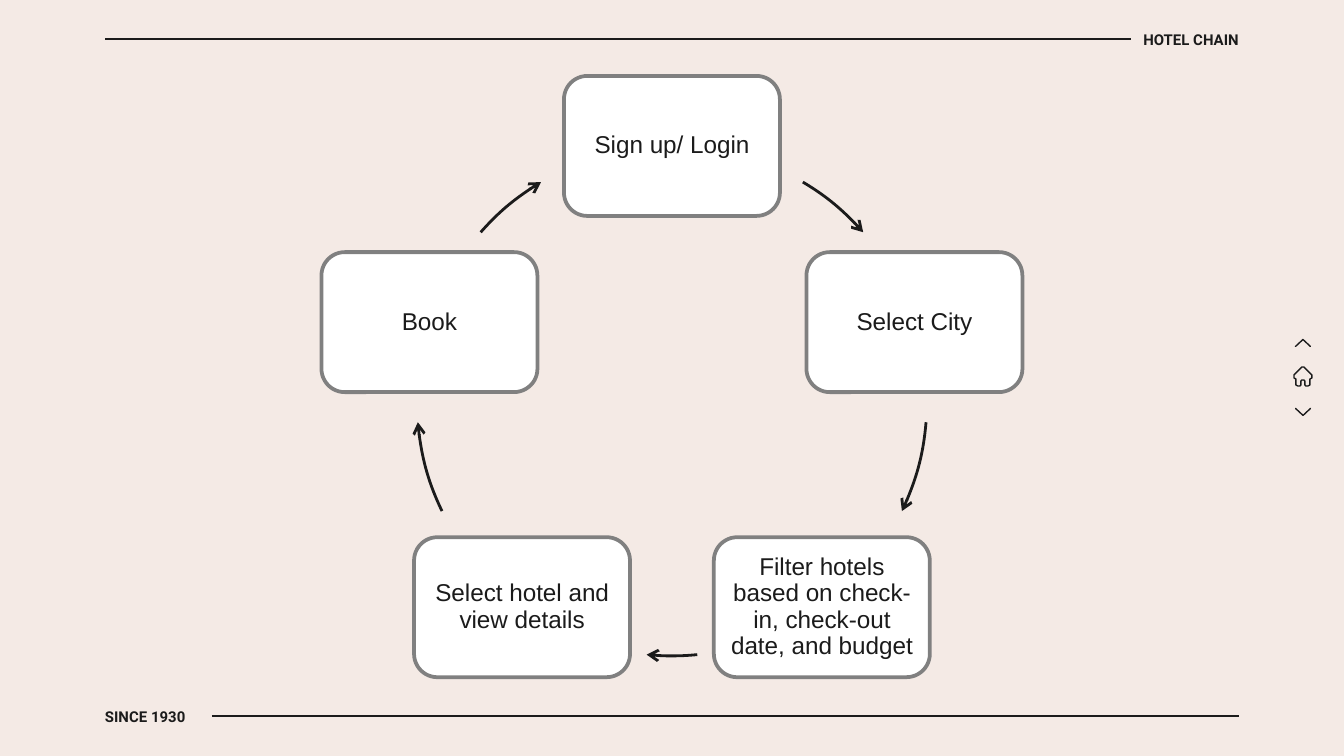
import math
from typing import NamedTuple

from lxml import etree
from pptx import Presentation, util as u
from pptx.dml.color import RGBColor
from pptx.enum import shapes, text
from pptx.oxml import ns

PX = 914400 / 134.4
CREAM = RGBColor(0xF4, 0xEA, 0xE5)
INK = RGBColor(0x1B, 0x1B, 0x1B)
GREY = RGBColor(0x80, 0x80, 0x80)
WHITE = RGBColor(0xFF, 0xFF, 0xFF)

CENTER_X, CENTER_Y, RADIUS = 672, 401, 255
STEP_WIDTH, STEP_HEIGHT = 216, 140
ICON_X = 1303


class Step(NamedTuple):
    """A box on the cycle and the arc that follows it, in clockwise degrees from the top."""
    label: str
    arc_start: float
    arc_end: float


class Chevron(NamedTuple):
    center_y: int
    rotation: int


STEPS = [
    Step("Sign up/ Login", 30.9, 48.6),
    Step("Select City", 94.8, 115.6),
    Step("Filter hotels based on check-in, check-out date, and budget", 174.3, 185.7),
    Step("Select hotel and view details", 244.4, 265.2),
    Step("Book", 311.4, 329.1),
]
CHEVRONS = [Chevron(343, 270), Chevron(412, 90)]
# Right half of the house, from roof to door, as offsets from its axis
HOUSE_HALF = [(1, 367), (9, 375), (9, 378), (7, 379), (7, 385),
              (5, 386), (3, 386), (2, 385), (2, 381), (1, 380)]


def emu(pixels: float) -> u.Emu:
    return u.Emu(round(pixels * PX))


def box(left: float, top: float, width: float, height: float) -> list[u.Emu]:
    return [emu(value) for value in (left, top, width, height)]


def write(shape, content: str, *, size: float, font: str, bold: bool = False,
          align=text.PP_ALIGN.LEFT, inset: int = 0, spacing: float = 1.0) -> None:
    frame = shape.text_frame
    frame.text = content
    frame.word_wrap = True
    frame.auto_size = text.MSO_AUTO_SIZE.NONE
    frame.vertical_anchor = text.MSO_ANCHOR.MIDDLE
    frame.margin_left = frame.margin_right = emu(inset)
    frame.margin_top = frame.margin_bottom = emu(inset)
    paragraph = frame.paragraphs[0]
    paragraph.alignment = align
    paragraph.line_spacing = spacing
    paragraph.space_before = u.Pt(0)
    paragraph.font.size = u.Pt(size)
    paragraph.font.name = font
    paragraph.font.bold = bold
    paragraph.font.color.rgb = INK


def paint(shape, line: RGBColor, width: float, fill: RGBColor | None = None) -> None:
    shape.shadow.inherit = False
    if fill is None:
        shape.fill.background()
    else:
        shape.fill.solid()
        shape.fill.fore_color.rgb = fill
    shape.line.color.rgb = line
    shape.line.width = u.Pt(width)


def add_rule(slide, left: int, right: int, y: int) -> None:
    rule = slide.shapes.add_connector(
        shapes.MSO_CONNECTOR.STRAIGHT, emu(left), emu(y), emu(right), emu(y))
    rule.line.color.rgb = INK
    rule.line.width = u.Pt(0.75)
    etree.SubElement(rule._element.spPr, ns.qn("a:effectLst"))


def add_step(slide, step: Step, angle: float) -> None:
    center_x = CENTER_X + RADIUS * math.sin(math.radians(angle))
    center_y = CENTER_Y - RADIUS * math.cos(math.radians(angle))
    shape = slide.shapes.add_shape(
        shapes.MSO_SHAPE.ROUNDED_RECTANGLE,
        *box(center_x - STEP_WIDTH / 2, center_y - STEP_HEIGHT / 2, STEP_WIDTH, STEP_HEIGHT))
    paint(shape, GREY, 2, WHITE)
    write(shape, step.label, size=13, font="Arial",
          align=text.PP_ALIGN.CENTER, inset=7, spacing=0.9)


def add_arc(slide, step: Step) -> None:
    arc = slide.shapes.add_shape(
        shapes.MSO_SHAPE.ARC,
        *box(CENTER_X - RADIUS, CENTER_Y - RADIUS, 2 * RADIUS, 2 * RADIUS))
    # Arc angles run from the right, in 60000ths of a degree; adjustments scale by 100000
    for index, angle in enumerate((step.arc_start, step.arc_end)):
        arc.adjustments[index] = (angle - 90) % 360 * 0.6
    paint(arc, INK, 1.5)
    etree.SubElement(arc.line._get_or_add_ln(), ns.qn("a:tailEnd"), type="arrow")


def add_chevron(slide, chevron: Chevron) -> None:
    width, height = 7, 15
    shape = slide.shapes.add_shape(
        shapes.MSO_SHAPE.CHEVRON,
        *box(ICON_X - width / 2, chevron.center_y - height / 2, width, height))
    shape.adjustments[0] = 1
    shape.rotation = chevron.rotation
    paint(shape, INK, 0.75)


def add_house(slide) -> None:
    outline = [(ICON_X + x, y) for x, y in HOUSE_HALF]
    outline += [(ICON_X - x, y) for x, y in reversed(HOUSE_HALF)]
    builder = slide.shapes.build_freeform(*outline[0], scale=PX)
    builder.add_line_segments(outline[1:], close=True)
    paint(builder.convert_to_shape(), INK, 0.75)


def main() -> None:
    presentation = Presentation()
    presentation.slide_width, presentation.slide_height = emu(1344), emu(756)
    slide = presentation.slides.add_slide(presentation.slide_layouts[5])
    slide.background.fill.solid()
    slide.background.fill.fore_color.rgb = CREAM

    title = slide.shapes.title
    title.left, title.top, title.width, title.height = box(1131, 29, 108, 22)
    write(title, "HOTEL CHAIN", size=8, font="Roboto", bold=True, align=text.PP_ALIGN.RIGHT)
    add_rule(slide, 1131, 105, 39)

    footer = slide.shapes.add_textbox(*box(105, 706, 107, 22))
    write(footer, "SINCE 1930", size=8, font="Roboto", bold=True)
    add_rule(slide, 212, 1239, 716)

    add_house(slide)
    for chevron in CHEVRONS:
        add_chevron(slide, chevron)

    for index, step in enumerate(STEPS):
        add_step(slide, step, index * 360 / len(STEPS))
        add_arc(slide, step)

    presentation.save("out.pptx")


if __name__ == "__main__":
    main()
